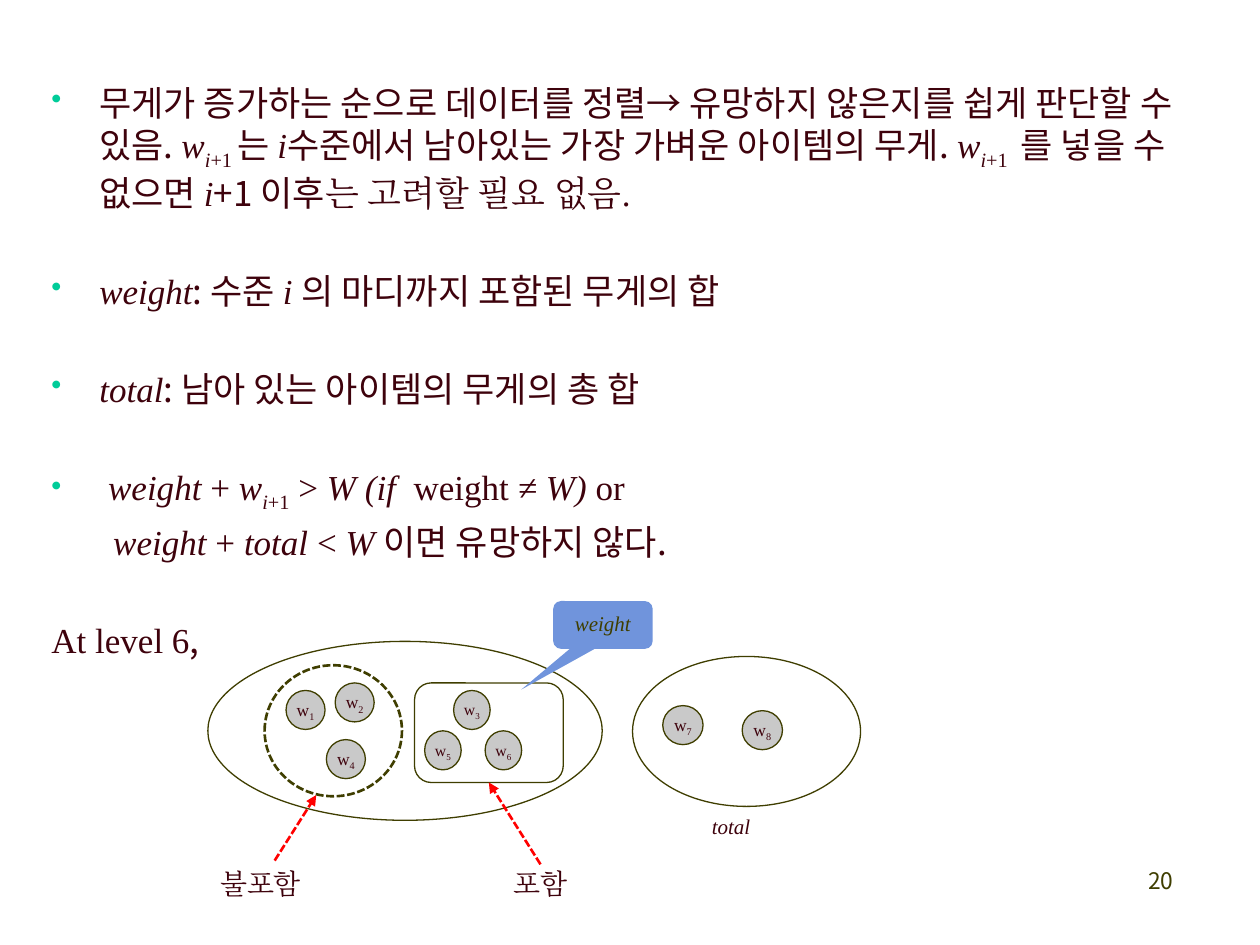
from lxml import etree
from pptx import Presentation
from pptx import util as u
from pptx.dml.color import RGBColor
from pptx.enum import dml, shapes, text
from pptx.oxml import ns

Inches, Pt = u.Inches, u.Pt
SHAPE, ALIGN, ANCHOR = shapes.MSO_SHAPE, text.PP_ALIGN, text.MSO_ANCHOR
WINE = RGBColor(0x3E, 0x02, 0x0C)
OLIVE = RGBColor(0x3F, 0x3E, 0x00)
GRAY = RGBColor(0xC9, 0xC9, 0xC9)
BLUE = RGBColor(0x70, 0x94, 0xDC)
RED = RGBColor(0xFF, 0x00, 0x00)
BULLET = RGBColor(0x00, 0xCC, 0x99)
SERIF, KOREAN = "Times New Roman", "Noto Sans CJK KR"

PLAIN = dict(font=SERIF)
ITALIC = dict(font=SERIF, italic=True)
SUB = dict(font=SERIF, sub=True)
SUB_ITALIC = dict(font=SERIF, italic=True, sub=True)
HANGUL = dict(font=KOREAN)

W_NEXT = [("w", ITALIC), ("i", SUB_ITALIC), ("+1", SUB)]
GAP, TIGHT = 32, 4

# runs, space before in points, left margin in inches, bulleted
BODY = [
    ([("무게가 증가하는 순으로 데이터를 정렬→ 유망하지 않은지를 쉽게 판단할 수 있음. ", HANGUL),
      *W_NEXT, (" ", SUB), ("는 ", HANGUL), ("i", ITALIC),
      ("수준에서 남아있는 가장 가벼운 아이템의 무게. ", HANGUL),
      *W_NEXT, (" ", SUB), (" 를 넣을 수 없으면 ", HANGUL), ("i", ITALIC),
      ("+1 이후", HANGUL), ("는 고려할 필요 없음.", PLAIN)], TIGHT, 0.38, True),
    ([("weight", ITALIC), (": 수준 ", HANGUL), ("i ", ITALIC),
      ("의 마디까지 포함된 무게의 합", HANGUL)], GAP, 0.38, True),
    ([("total", ITALIC), (": 남아 있는 아이템의 무게의 총 합", HANGUL)], GAP, 0.38, True),
    ([(" ", PLAIN), ("weight ", ITALIC), ("+ ", PLAIN), *W_NEXT, (" > ", PLAIN),
      ("W (if ", ITALIC), (" weight", PLAIN), (" ≠ W)", ITALIC), (" or", PLAIN)],
     GAP, 0.38, True),
    ([("weight ", ITALIC), ("+ ", PLAIN), ("total", ITALIC), (" < ", PLAIN),
      ("W ", ITALIC), ("이면 유망하지 않다.", HANGUL)], TIGHT, 0.49, False),
    ([("At level 6", PLAIN), (",", HANGUL)], GAP, 0, False),
]

# number, left, top, diameter across, text size
ITEMS = [
    (1, 2.27, 5.48, 0.31, 10), (2, 2.66, 5.42, 0.31, 10), (4, 2.59, 5.87, 0.31, 10),
    (3, 3.6, 5.48, 0.29, 9), (5, 3.37, 5.8, 0.29, 9), (6, 3.85, 5.8, 0.29, 9),
    (7, 5.26, 5.6, 0.32, 10), (8, 5.89, 5.64, 0.32, 10),
]


def add_run(p, content, size, font=SERIF, color=WINE, italic=False, sub=False):
    r = p.add_run()
    r.text = content
    r.font.size, r.font.name, r.font.italic = Pt(size), font, italic
    r.font.color.rgb = color
    rPr = r.font._element
    etree.SubElement(rPr, ns.qn("a:ea"), typeface=font)
    if sub:
        rPr.set("baseline", "-25000")


def indent(p, margin, bulleted):
    """Set the left margin and, if wanted, a hanging bullet."""
    pPr = p._p.get_or_add_pPr()
    pPr.set("marL", str(Inches(margin)))
    pPr.set("indent", str(-Inches(margin) if bulleted else 0))
    if bulleted:
        color = etree.SubElement(pPr, ns.qn("a:buClr"))
        etree.SubElement(color, ns.qn("a:srgbClr"), val=str(BULLET))
        etree.SubElement(pPr, ns.qn("a:buSzPct"), val="85000")
        etree.SubElement(pPr, ns.qn("a:buChar"), char="•")


class Diagram:
    """Holds the slide and its line style."""

    def __init__(self, slide, line_color=OLIVE):
        self.shapes = slide.shapes
        self.line_color = line_color

    def textbox(self, box, wrap=True, inset=True):
        tf = self.shapes.add_textbox(*map(Inches, box)).text_frame
        tf.word_wrap = wrap
        if not inset:
            self.clear_insets(tf)
        return tf

    def clear_insets(self, tf):
        tf.margin_left = tf.margin_right = tf.margin_top = tf.margin_bottom = 0

    def label(self, box, content, size, align=ALIGN.LEFT, wrap=True, inset=True, **fmt):
        p = self.textbox(box, wrap, inset).paragraphs[0]
        p.alignment = align
        add_run(p, content, size, **fmt)
        return p

    def body(self, box, paragraphs, size):
        tf = self.textbox(box)
        for n, (runs, before, margin, bulleted) in enumerate(paragraphs):
            p = tf.add_paragraph() if n else tf.paragraphs[0]
            p.space_before = Pt(before)
            indent(p, margin, bulleted)
            for content, fmt in runs:
                add_run(p, content, size, **fmt)

    def shape(self, kind, box, fill=None, line=0.75, dashed=False):
        sp = self.shapes.add_shape(kind, *map(Inches, box))
        sp.shadow.inherit = False
        if fill is None:
            sp.fill.background()
        else:
            sp.fill.solid()
            sp.fill.fore_color.rgb = fill
        if line:
            sp.line.color.rgb, sp.line.width = self.line_color, Pt(line)
        else:
            sp.line.fill.background()
        if dashed:
            sp.line.dash_style = dml.MSO_LINE.SQUARE_DOT
        return sp

    def caption(self, sp, runs, size):
        """Centre text inside a shape."""
        tf = sp.text_frame
        self.clear_insets(tf)
        tf.vertical_anchor = ANCHOR.MIDDLE
        p = tf.paragraphs[0]
        p.alignment, p.line_spacing = ALIGN.CENTER, 0.9
        for content, fmt in runs:
            add_run(p, content, size, **fmt)

    def item(self, number, left, top, width, size):
        sp = self.shape(SHAPE.OVAL, (left, top, width, 0.31), GRAY)
        self.caption(sp, [("w", PLAIN), (str(number), SUB)], size)

    def arrow(self, start, end):
        c = self.shapes.add_connector(shapes.MSO_CONNECTOR.STRAIGHT, *map(Inches, start + end))
        c.line.color.rgb, c.line.width = RED, Pt(1.5)
        c.line.dash_style = dml.MSO_LINE.SQUARE_DOT
        etree.SubElement(c.line._get_or_add_ln(), ns.qn("a:tailEnd"), type="triangle")
        etree.SubElement(c._element.spPr, ns.qn("a:effectLst"))


def main():
    prs = Presentation()
    prs.slide_width, prs.slide_height = Inches(10), Inches(7.5)
    s = Diagram(prs.slides.add_slide(prs.slide_layouts[6]))

    s.label((7.33, 6.83, 2.08, 0.5), "20", 13, ALIGN.RIGHT, font=KOREAN, color=OLIVE)
    s.body((0.31, 0.6, 9.42, 2.81), BODY, 20)

    s.shape(SHAPE.OVAL, (1.65, 5.09, 3.13, 1.42))
    s.shape(SHAPE.ROUNDED_RECTANGLE, (3.29, 5.42, 1.18, 0.79))
    s.shape(SHAPE.OVAL, (5.02, 5.21, 1.81, 1.19))
    for item in ITEMS:
        s.item(*item)

    total = s.label((5.65, 6.27, 0.31, 0.34), "total", 12, wrap=False, inset=False, **ITALIC)
    total.line_spacing = Pt(28)

    callout = s.shape(SHAPE.ROUNDED_RECTANGULAR_CALLOUT, (4.39, 4.77, 0.79, 0.38), BLUE, line=0)
    callout.adjustments[0], callout.adjustments[1] = -0.82, 1.35
    s.caption(callout, [("weight", dict(ITALIC, color=OLIVE))], 12)

    s.arrow((4.29, 6.86), (3.88, 6.21))
    s.label((3.98, 6.83, 0.65, 0.37), "포함", 16, wrap=False)
    s.arrow((2.18, 6.83), (2.51, 6.31))
    s.label((1.65, 6.83, 1.02, 0.37), "불포함", 16)
    s.shape(SHAPE.OVAL, (2.1, 5.28, 1.09, 1.04), line=1.5, dashed=True)

    prs.save("out.pptx")


if __name__ == "__main__":
    main()
